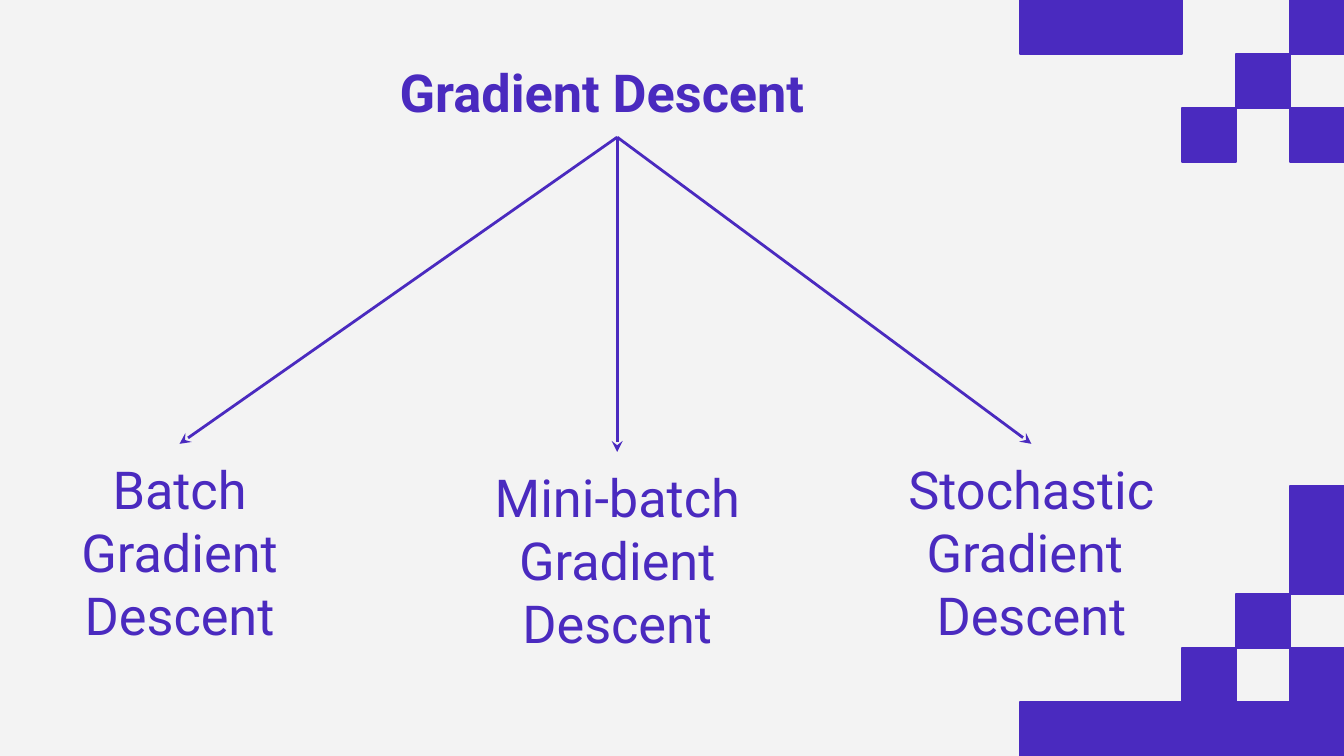
from lxml.etree import SubElement
from pptx import Presentation
from pptx.dml.color import RGBColor
from pptx.enum.shapes import MSO_CONNECTOR, MSO_SHAPE
from pptx.enum.text import MSO_ANCHOR, MSO_AUTO_SIZE, PP_ALIGN
from pptx.oxml.ns import qn
from pptx.util import Inches, Pt

PURPLE = "4A2ABF"
ROWS = 14


def paint(fmt, color):
    """Give a fill a solid colour."""
    fmt.solid()
    fmt.fore_color.rgb = RGBColor.from_string(color)


def write(sp, lines, align, bold=False):
    """Set up a text frame and add one paragraph per line."""
    tf = sp.text_frame
    tf.word_wrap = True
    tf.auto_size = MSO_AUTO_SIZE.SHAPE_TO_FIT_TEXT
    tf.vertical_anchor = MSO_ANCHOR.TOP
    tf.margin_left = tf.margin_right = tf.margin_top = tf.margin_bottom = Inches(0.1)
    for i, line in enumerate(lines):
        p = tf.add_paragraph() if i else tf.paragraphs[0]
        p.alignment = align
        p.line_spacing = 1.0
        p.space_before = Pt(0)
        r = p.add_run()
        r.text = line
        r.font.name, r.font.size, r.font.bold = "Roboto", Pt(28), bold
        paint(r.font.fill, PURPLE)


# A 16:9 slide, divided into 14 rows of square cells
prs = Presentation()
prs.slide_width = Inches(10)
prs.slide_height = prs.slide_width * 9 // 16
cell = prs.slide_height / ROWS
s = prs.slides.add_slide(prs.slide_layouts[5])
paint(s.background.fill, "F3F3F3")

# Pixel squares: row -> filled columns of the six at the right edge
pixels = {0: [0, 1, 2, 5], 1: [4], 2: [3, 5],
          9: [5], 10: [5], 11: [4], 12: [3, 5], 13: range(6)}
for row, cols in pixels.items():
    for col in cols:
        left = int(prs.slide_width - (6 - col) * cell)
        sp = s.shapes.add_shape(MSO_SHAPE.RECTANGLE, left, int(row * cell),
                                int(cell), int(cell))
        sp.shadow.inherit = False
        paint(sp.fill, PURPLE)
        paint(sp.line.fill, PURPLE)
        sp.line.width = Pt(0.75)

# Title
title = s.shapes.title
title.left, title.top, title.width, title.height = (
    int(n * cell) for n in (7.15, 0.87, 8.56, 1.67))
write(title, ["Gradient Descent"], PP_ALIGN.LEFT, bold=True)

# Variants, in grid units (left, top, width), each with an arrow from the title
variants = [
    (0.19, 8.22, 6.27, ["Batch Gradient Descent"]),
    (8.23, 8.37, 6.4, ["Mini-batch Gradient Descent"]),
    (15.85, 8.22, 6.5, ["Stochastic Gradient ", "Descent"]),
]
for left, top, width, lines in variants:
    box = s.shapes.add_textbox(*(int(n * cell) for n in (left, top, width, 4.03)))
    write(box, lines, PP_ALIGN.CENTER)

    arrow = s.shapes.add_connector(MSO_CONNECTOR.STRAIGHT, 0, 0, 0, 0)
    arrow.begin_connect(title, 2)
    arrow.end_connect(box, 0)
    paint(arrow.line.fill, PURPLE)
    arrow.line.width = Pt(1.5)
    props = arrow._element.spPr
    SubElement(props.find(qn("a:ln")), qn("a:tailEnd"), type="stealth")
    SubElement(props, qn("a:effectLst"))

prs.save("out.pptx")
